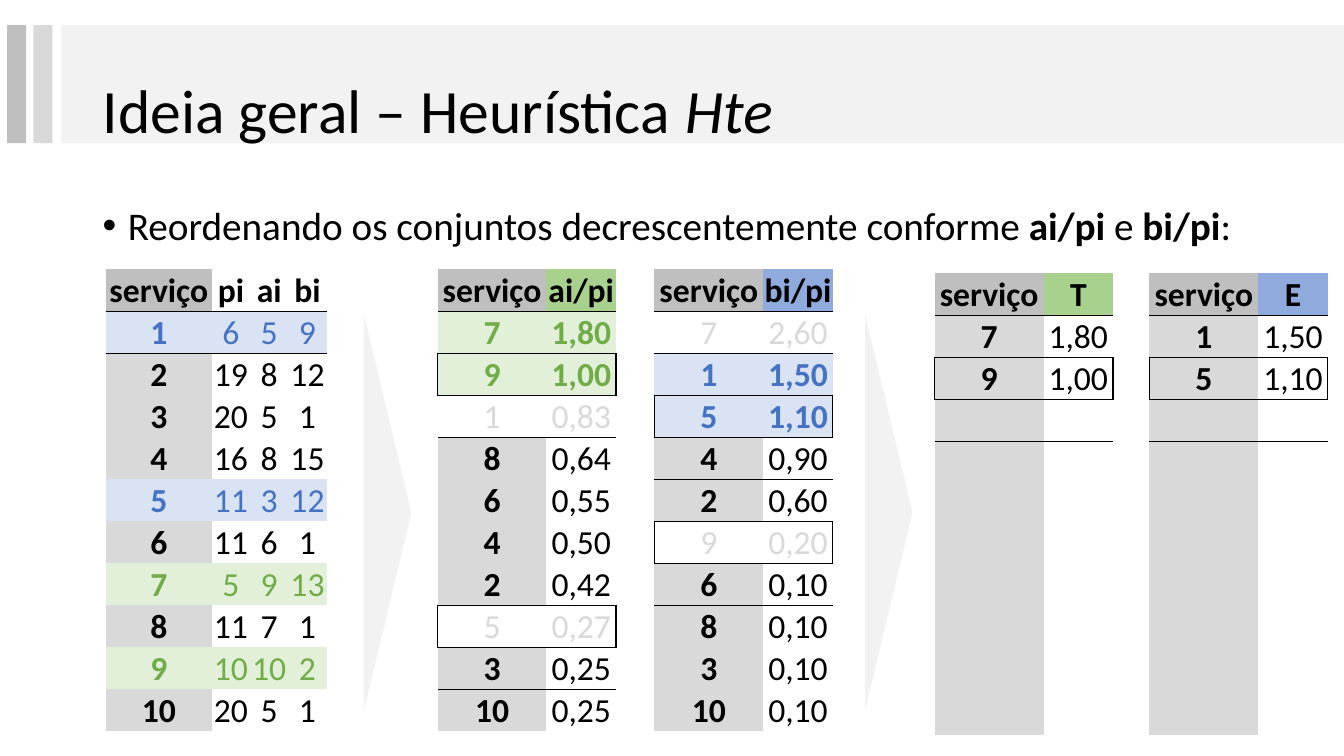
from lxml.etree import SubElement
from pptx import Presentation
from pptx.dml.color import RGBColor
from pptx.enum.shapes import MSO_SHAPE as Preset
from pptx.enum.text import MSO_ANCHOR as Anchor, MSO_AUTO_SIZE as AutoSize, PP_ALIGN as Align
from pptx.oxml.ns import qn
from pptx.util import Inches, Pt

BLACK, WHITE, PALE = "000000", "FFFFFF", "F2F2F2"
GREY, DARK_GREY = "D9D9D9", "BFBFBF"
GREEN_HEAD, BLUE_HEAD = "A9D18E", "8FAADC"
GREEN = ("70AD47", "E2F0D9")  # text, fill
BLUE = ("4472C4", "DAE3F3")
FADED = (GREY, WHITE)
NO_GRID_STYLE = "{2D5ABB26-0587-4C30-8999-92F81FD0307C}"

ROW_COUNT = 11
TABLE_HEIGHT = 4.59
PAIR_WIDTHS = [1.08, 0.69]
FRAMED = ("9", "5")  # last service taken into each set

SERVICES = [
    ("1", "6", "5", "9"), ("2", "19", "8", "12"), ("3", "20", "5", "1"),
    ("4", "16", "8", "15"), ("5", "11", "3", "12"), ("6", "11", "6", "1"),
    ("7", "5", "9", "13"), ("8", "11", "7", "1"), ("9", "10", "10", "2"),
    ("10", "20", "5", "1"),
]
BY_AI = [
    ("7", "1,80"), ("9", "1,00"), ("1", "0,83"), ("8", "0,64"), ("6", "0,55"),
    ("4", "0,50"), ("2", "0,42"), ("5", "0,27"), ("3", "0,25"), ("10", "0,25"),
]
BY_BI = [
    ("7", "2,60"), ("1", "1,50"), ("5", "1,10"), ("4", "0,90"), ("2", "0,60"),
    ("9", "0,20"), ("6", "0,10"), ("8", "0,10"), ("3", "0,10"), ("10", "0,10"),
]
SET_T = [("7", "1,80"), ("9", "1,00")]
SET_E = [("1", "1,50"), ("5", "1,10")]


def color(code):
    """Turn a hex string into a colour."""
    return RGBColor.from_string(code)


def add_text(para, text, size=24, code=BLACK, bold=False, italic=False):
    """Append one formatted span to a paragraph."""
    span = para.add_run()
    span.text = text
    font = span.font
    font.name, font.size, font.bold, font.italic = "Calibri", Pt(size), bold, italic
    font.color.rgb = color(code)


def add_block(shapes, preset, left, top, width, height, code, rotation=0):
    """Add a plain filled shape without line or shadow."""
    block = shapes.add_shape(preset, Inches(left), Inches(top), Inches(width), Inches(height))
    block.shadow.inherit = False
    block.fill.solid()
    block.fill.fore_color.rgb = color(code)
    block.line.fill.background()
    block.rotation = rotation


def add_banner(page):
    """Put the grey title bars behind everything else."""
    banner = page.shapes.add_group_shape()
    for left, width, code in [(0.61, 12.72, PALE), (0.33, 0.19, GREY), (0.07, 0.19, DARK_GREY)]:
        add_block(banner.shapes, Preset.RECTANGLE, left, 0.25, width, 1.17, code)
    page.shapes._spTree.insert(2, banner._element)


def add_title(page):
    """Place and fill the title placeholder."""
    title = page.shapes.title
    title.left, title.top = Inches(0.92), Inches(0.4)
    title.width, title.height = Inches(11.5), Inches(1.45)
    frame = title.text_frame
    frame.auto_size = AutoSize.NONE
    frame.vertical_anchor = Anchor.MIDDLE
    para = frame.paragraphs[0]
    para.alignment, para.line_spacing = Align.LEFT, 0.9
    add_text(para, "Ideia geral – Heurística ", size=44)
    add_text(para, "Hte", size=44, italic=True)


def add_bullet(page, spans):
    """Add the bulleted line; spans are (text, bold) pairs."""
    box = page.shapes.add_textbox(Inches(0.92), Inches(2), Inches(11.5), Inches(0.68))
    box.text_frame.word_wrap = True
    para = box.text_frame.paragraphs[0]
    para.line_spacing, para.space_before = 0.9, Pt(10)
    layout = para._p.get_or_add_pPr()
    layout.set("marL", str(Inches(0.25)))
    layout.set("indent", str(-Inches(0.25)))
    SubElement(layout, qn("a:buFont")).set("typeface", "Arial")
    SubElement(layout, qn("a:buChar")).set("char", "•")
    for text, bold in spans:
        add_text(para, text, size=28, bold=bold)


def add_borders(cell, sides):
    """Draw thin black borders; sides are in the order L, R, T, B."""
    for side in sides:
        line = SubElement(cell._tc.get_or_add_tcPr(), qn(f"a:ln{side}"), w=str(Pt(1)))
        fill = SubElement(line, qn("a:solidFill"))
        SubElement(fill, qn("a:srgbClr"), val=BLACK)


def fill_cell(cell, text, fill, sides, **style):
    """Set the borders, fill and centred text of a cell."""
    add_borders(cell, sides)
    if fill:
        cell.fill.solid()
        cell.fill.fore_color.rgb = color(fill)
    else:
        cell.fill.background()
    cell.margin_left = cell.margin_right = cell.margin_top = Inches(0.01)
    cell.margin_bottom = 0
    cell.vertical_anchor = Anchor.BOTTOM
    para = cell.text_frame.paragraphs[0]
    para.alignment = Align.CENTER
    if text:
        add_text(para, text, **style)


def border_sides(row, column, last_column, framed):
    """List the sides of a cell that lie on the header rule or on a frame."""
    inside = row in framed
    rules = [
        ("L", inside and column == 0),
        ("R", inside and column == last_column),
        ("T", inside or row == 1 or row - 1 in framed),
        ("B", inside or row == 0 or row + 1 in framed),
    ]
    return [side for side, shown in rules if shown]


def add_service_table(page, left, top, widths, heads, rows, marks=None, framed=(), bold_marks=True):
    """Add a table of services; heads are (text, fill), marks give a service its colours."""
    marks = marks or {}
    table = page.shapes.add_table(ROW_COUNT, len(widths), Inches(left), Inches(top),
                                  Inches(sum(widths)), Inches(TABLE_HEIGHT)).table
    table.first_row = table.horz_banding = False
    table._tbl.tblPr.find(qn("a:tableStyleId")).text = NO_GRID_STYLE
    for column, width in zip(table.columns, widths):
        column.width = Inches(width)

    framed_rows = [number for number, row in enumerate(rows, 1) if row[0] in framed]
    heads = [("serviço", DARK_GREY)] + heads
    blanks = [("",) * len(widths)] * (ROW_COUNT - 1 - len(rows))
    for number, row in enumerate([[text for text, _ in heads]] + rows + blanks):
        for column, text in enumerate(row):
            first = column == 0
            code, fill, bold = BLACK, GREY if first else None, first
            if number == 0:
                fill, bold = heads[column][1], True
            elif row[0] in marks:
                code, fill = marks[row[0]]
                bold = marks[row[0]] != FADED and (first or bold_marks)
            sides = border_sides(number, column, len(widths) - 1, framed_rows)
            fill_cell(table.cell(number, column), text, fill, sides, code=code, bold=bold)


def mark_sets(t_colors, e_colors):
    """Give the services of sets T and E their colours."""
    return {**{row[0]: t_colors for row in SET_T}, **{row[0]: e_colors for row in SET_E}}


def main():
    """Build the slide and save it."""
    deck = Presentation()
    deck.slide_width, deck.slide_height = Inches(13.33), Inches(7.5)
    page = deck.slides.add_slide(deck.slide_layouts[5])
    add_banner(page)
    add_title(page)
    add_bullet(page, [("Reordenando os conjuntos decrescentemente conforme ", False),
                      ("ai/pi ", True), ("e ", False), ("bi/pi", True), (":", False)])

    for left in (1.88, 6.85):
        add_block(page.shapes, Preset.ISOSCELES_TRIANGLE, left, 4.85, 3.93, 0.47, PALE, rotation=90)

    add_service_table(page, 1.05, 2.67, [1.05, 0.38, 0.38, 0.38],
                      [("pi", None), ("ai", None), ("bi", None)], SERVICES,
                      marks=mark_sets(GREEN, BLUE), bold_marks=False)
    for left, top, head, rows, marks in [
        (4.34, 2.67, ("ai/pi", GREEN_HEAD), BY_AI, mark_sets(GREEN, FADED)),
        (6.49, 2.67, ("bi/pi", BLUE_HEAD), BY_BI, mark_sets(FADED, BLUE)),
        (9.27, 2.71, ("T", GREEN_HEAD), SET_T, None),
        (11.4, 2.71, ("E", BLUE_HEAD), SET_E, None),
    ]:
        add_service_table(page, left, top, PAIR_WIDTHS, [head], rows, marks=marks, framed=FRAMED)
    deck.save("out.pptx")


main()
